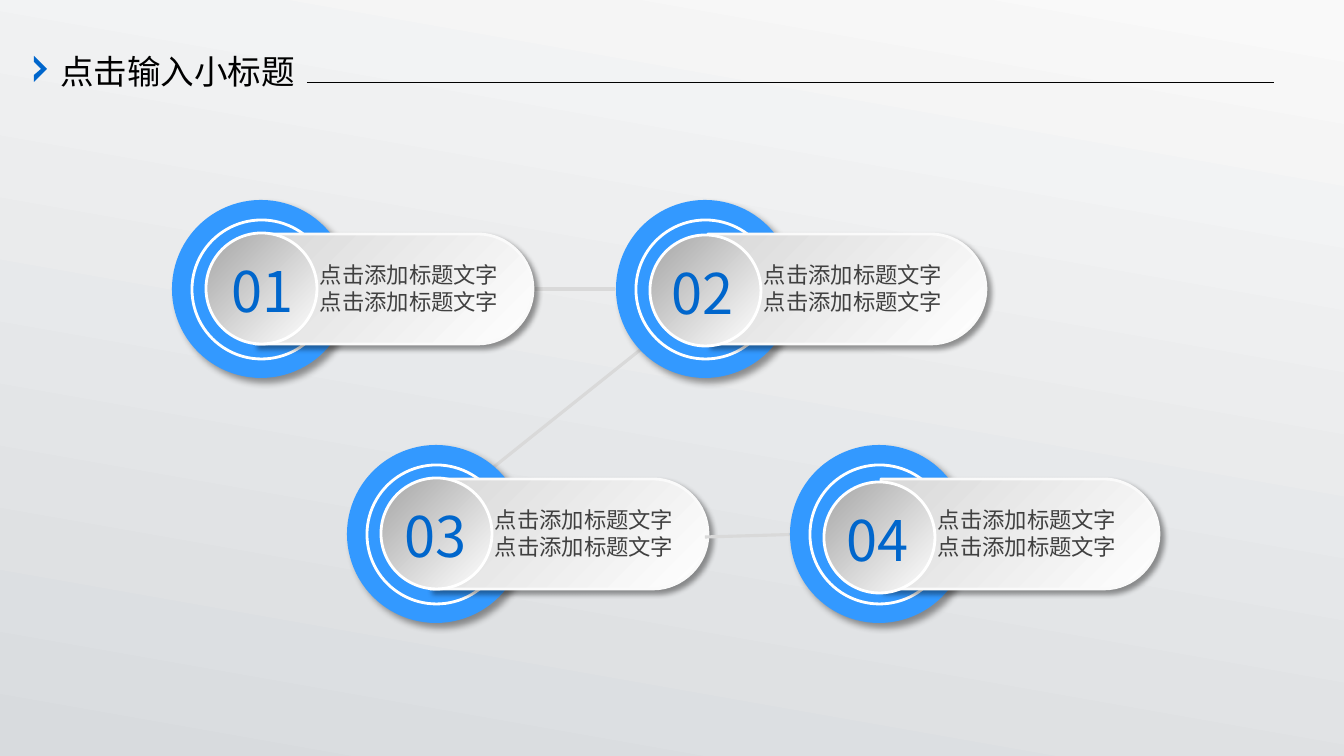
from pptx import Presentation
from pptx import util as u
from pptx.dml.color import RGBColor
from pptx.enum import shapes, text
from pptx.oxml import parse_xml
from pptx.oxml.ns import nsdecls, qn

PX = 9080  # EMU in one px
FONT = "Noto Sans CJK SC"
DISC, RING, GEM = 178, 139, 111
RUN, RADIUS = 223, 55  # straight edge and round end of a pill
BEND = 25  # distance from a Bezier handle to the corner of the pill's box
OVAL = shapes.MSO_SHAPE.OVAL
LINE = shapes.MSO_CONNECTOR.STRAIGHT


def paint(shape, colors, line=None, shadow=0):
    """One colour gives a solid fill, two a diagonal gradient; shadow is its size in points."""
    shape.shadow.inherit = False
    if len(colors) == 1:
        shape.fill.solid()
        shape.fill.fore_color.rgb = RGBColor.from_string(colors[0])
    else:
        shape.fill.gradient()
        shape.fill.gradient_angle = 135
        for stop, color in zip(shape.fill.gradient_stops, colors):
            stop.color.rgb = RGBColor.from_string(color)
    if line:
        shape.line.color.rgb = RGBColor.from_string(line)
        shape.line.width = u.Pt(2)
    else:
        shape.line.fill.background()
    if shadow:
        effects = shape._element.spPr.find(qn("a:effectLst"))
        effects.append(parse_xml(
            f'<a:outerShdw {nsdecls("a")} blurRad="{u.Pt(shadow)}" dist="{u.Pt(shadow)}" '
            'dir="2700000" algn="tl" rotWithShape="0"><a:srgbClr val="000000">'
            '<a:alpha val="40000"/></a:srgbClr></a:outerShdw>'))


def write(box, words, size, color, align=text.PP_ALIGN.LEFT):
    box.text_frame.text = words
    for para in box.text_frame.paragraphs:
        para.alignment = align
        for span in para.runs:
            span.font.size = u.Pt(size)
            span.font.color.rgb = RGBColor.from_string(color)
            span.font.name = FONT
            span._r.get_or_add_rPr().append(
                parse_xml(f'<a:ea {nsdecls("a")} typeface="{FONT}"/>'))


deck = Presentation()
deck.slide_width, deck.slide_height = 1344 * PX, 756 * PX
page = deck.slides.add_slide(deck.slide_layouts[5])
background = page.background.fill
background.gradient()
background.gradient_angle = 80
for stop, color in zip(background.gradient_stops, ("D8DBDE", "F9F9F9")):
    stop.color.rgb = RGBColor.from_string(color)

# number, disc corner, pill offset, gem offset, number offset, link drawn beneath
cards = [
    ("02", 616, 200, 92, (34, 35), (43, 54), (655, 338, 480, 478)),
    ("01", 172, 200, 83, (34, 33), (47, 52), (615, 289, 534, 289)),
    ("03", 347, 445, 83, (34, 33), (45, 52), None),
    ("04", 790, 445, 91, (34, 37), (44, 56), (809, 534, 705, 537)),
]
lines = [(link, "D9D9D9", 2.25) for *_, link in cards]
rule = ((307, 83, 1274, 83), "000000", 0.75)

for card, line in zip(cards + [None], lines + [rule]):
    ends, color, width = line
    if ends:
        connector = page.shapes.add_connector(LINE, *(end * PX for end in ends))
        connector.line.color.rgb = RGBColor.from_string(color)
        connector.line.width = u.Pt(width)
        connector._element.spPr.append(parse_xml(f'<a:effectLst {nsdecls("a")}/>'))
    if card is None:
        continue

    number, left, top, pill_dx, gem_offset, number_offset, _ = card
    disc = page.shapes.add_shape(OVAL, left * PX, top * PX, DISC * PX, DISC * PX)
    paint(disc, ["3399FF"], shadow=5)
    ring = page.shapes.add_shape(
        OVAL, (left + 20) * PX, (top + 20) * PX, RING * PX, RING * PX)
    paint(ring, ["3399FF"], "FFFFFF")

    x, y = left + pill_dx, top + 34
    right, bottom = RUN + RADIUS, 2 * RADIUS
    outline = page.shapes.build_freeform(x, y, scale=PX)
    outline.add_line_segments([(x + RUN, y), (x + right, y + RADIUS),
                               (x + RUN, y + bottom), (x, y + bottom)], close=True)
    pill = outline.convert_to_shape()
    segments = list(pill._element.spPr.iter(qn("a:lnTo")))
    handles = [((right - BEND, 0), (right, BEND)),
               ((right, bottom - BEND), (right - BEND, bottom))]
    for segment, pair in zip(segments[1:3], handles):
        segment.tag = qn("a:cubicBezTo")
        for place, (dx, dy) in enumerate(pair):
            segment.insert(place, parse_xml(f'<a:pt {nsdecls("a")} x="{dx}" y="{dy}"/>'))
    paint(pill, ["FFFFFF", "D9D9D9"], "FAFAFA", shadow=4)

    label = page.shapes.add_textbox(
        (left + 138) * PX, (top + 56) * PX, 201 * PX, 64 * PX)
    label.text_frame.word_wrap = False
    write(label, "点击添加标题文字\n点击添加标题文字", 16, "404040")
    for para in label.text_frame.paragraphs:
        para.line_spacing = u.Pt(19.3)

    gem = page.shapes.add_shape(
        OVAL, (left + gem_offset[0]) * PX, (top + gem_offset[1]) * PX, GEM * PX, GEM * PX)
    paint(gem, ["FFFFFF", "A6A6A6"], "FFFFFF")
    digits = page.shapes.add_textbox(
        (left + number_offset[0]) * PX, (top + number_offset[1]) * PX, 87 * PX, 77 * PX)
    digits.text_frame.word_wrap = False
    digits.text_frame.vertical_anchor = text.MSO_ANCHOR.MIDDLE
    write(digits, number, 40, "0066CC", text.PP_ALIGN.CENTER)

chevron = page.shapes.build_freeform(34, 56, scale=PX)
chevron.add_line_segments([(47, 69), (34, 82), (34, 75), (41, 69), (34, 62)], close=True)
paint(chevron.convert_to_shape(), ["0066CC"])

title = page.shapes.title
title.left, title.top, title.width, title.height = 50 * PX, 46 * PX, 273 * PX, 50 * PX
title.text_frame.vertical_anchor = text.MSO_ANCHOR.MIDDLE
title.text_frame.auto_size = text.MSO_AUTO_SIZE.NONE
write(title, "点击输入小标题", 24, "000000")

deck.save("out.pptx")
